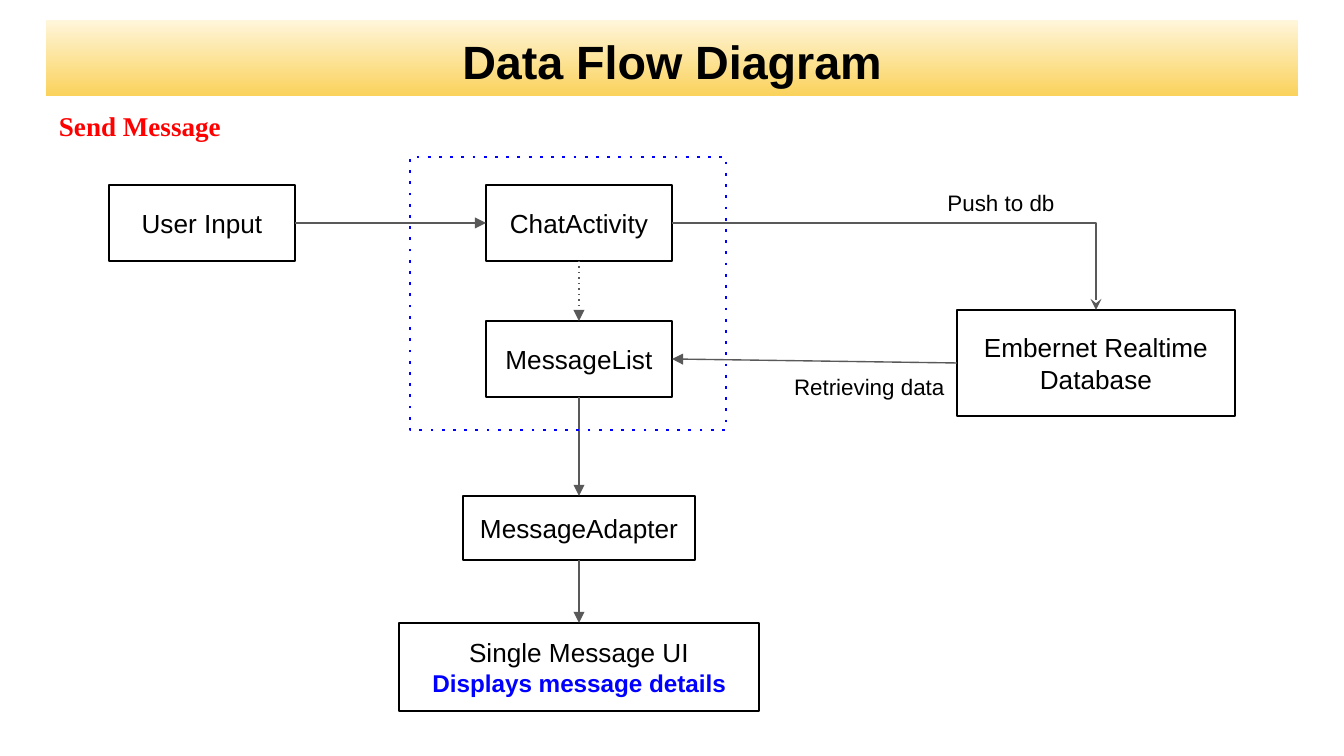
"""Build the data flow slide for sending a message."""
import dataclasses
import typing

import pptx
import pptx.dml.color
import pptx.enum.dml
import pptx.enum.shapes
import pptx.enum.text
import pptx.oxml.ns
import pptx.util
from lxml import etree

EMU_PER_PX = 914400 / 134.4
TOP, LEFT, BOTTOM, RIGHT = range(4)
ALIGN = pptx.enum.text.PP_ALIGN
ANCHOR = pptx.enum.text.MSO_ANCHOR
KIND = pptx.enum.shapes.MSO_CONNECTOR
RECTANGLE = pptx.enum.shapes.MSO_SHAPE.RECTANGLE


@dataclasses.dataclass(frozen=True)
class Theme:
    font: str = "Arial"
    heading_font: str = "Times New Roman"
    ink: str = "000000"
    accent: str = "0000FF"
    heading: str = "FF0000"
    flow: str = "595959"
    banner: tuple[str, str] = ("FFF6DB", "FAD25C")
    title_size: float = 25
    heading_size: float = 14.5
    node_size: float = 14
    detail_size: float = 13
    label_size: float = 12
    thin: float = 0.75
    thick: float = 1.5
    inset: int = 13


THEME = Theme()


class Box(typing.NamedTuple):
    left: int
    top: int
    width: int
    height: int


class Run(typing.NamedTuple):
    text: str
    size: float = THEME.node_size
    color: str = THEME.ink
    bold: bool = False
    font: str = THEME.font


class Node(typing.NamedTuple):
    box: Box
    lines: tuple[Run, ...]


class Label(typing.NamedTuple):
    box: Box
    run: Run
    align: ALIGN = ALIGN.LEFT
    anchor: ANCHOR = ANCHOR.TOP
    space_after: float = 0


class Flow(typing.NamedTuple):
    source: str
    source_side: int
    target: str
    target_side: int
    head: str = "triangle"
    bent: bool = False
    dotted: bool = False


TITLE = Label(Box(46, 20, 1252, 76),
              Run("Data Flow Diagram", THEME.title_size, bold=True), ALIGN.CENTER)

NODES = {
    "input": Node(Box(109, 185, 186, 76), (Run("User Input"),)),
    "activity": Node(Box(486, 185, 186, 76), (Run("ChatActivity"),)),
    "list": Node(Box(486, 321, 186, 76), (Run("MessageList"),)),
    "database": Node(Box(957, 310, 278, 106), (Run("Embernet Realtime Database"),)),
    "adapter": Node(Box(463, 496, 232, 64), (Run("MessageAdapter"),)),
    "ui": Node(Box(399, 623, 360, 88), (
        Run("Single Message UI"),
        Run("Displays message details", THEME.detail_size, THEME.accent, True))),
}

FLOWS = (
    Flow("adapter", BOTTOM, "ui", TOP),
    Flow("input", RIGHT, "activity", LEFT),
    Flow("activity", RIGHT, "database", TOP, head="stealth", bent=True),
    Flow("database", LEFT, "list", RIGHT),
    Flow("list", BOTTOM, "adapter", TOP),
    Flow("activity", BOTTOM, "list", TOP, dotted=True),
)

LABELS = (
    Label(Box(46, 96, 216, 60),
          Run("Send Message", THEME.heading_size, THEME.heading, True, THEME.heading_font),
          space_after=12),
    Label(Box(906, 187, 190, 32), Run("Push to db", THEME.label_size),
          ALIGN.CENTER, ANCHOR.MIDDLE),
    Label(Box(781, 360, 190, 54), Run("Retrieving data", THEME.label_size)),
)

CHAT_SCREEN = Box(410, 157, 316, 273)


def px(length: int) -> int:
    return round(length * EMU_PER_PX)


def rgb(color: str) -> pptx.dml.color.RGBColor:
    return pptx.dml.color.RGBColor.from_string(color)


def write(shape, lines: tuple[Run, ...], align: ALIGN, anchor: ANCHOR,
          space_after: float = 0) -> None:
    frame = shape.text_frame
    frame.word_wrap = True
    frame.vertical_anchor = anchor
    frame.margin_left = frame.margin_right = px(THEME.inset)
    frame.margin_top = frame.margin_bottom = px(THEME.inset)
    for index, line in enumerate(lines):
        paragraph = frame.add_paragraph() if index else frame.paragraphs[0]
        paragraph.alignment = align
        paragraph.space_after = pptx.util.Pt(space_after)
        run = paragraph.add_run()
        run.text = line.text
        run.font.name = line.font
        run.font.size = pptx.util.Pt(line.size)
        run.font.bold = line.bold
        run.font.color.rgb = rgb(line.color)


def style_line(line, color: str, width: float, dotted: bool = False, head: str = "") -> None:
    line.color.rgb = rgb(color)
    line.width = pptx.util.Pt(width)
    outline = line._get_or_add_ln()
    if dotted:
        etree.SubElement(outline, pptx.oxml.ns.qn("a:prstDash"), val="dot")
    if head:
        etree.SubElement(outline, pptx.oxml.ns.qn("a:tailEnd"), type=head)


def add_rectangle(slide, box: Box):
    rectangle = slide.shapes.add_shape(RECTANGLE, *map(px, box))
    rectangle.shadow.inherit = False
    rectangle.fill.background()
    return rectangle


def add_banner(slide, title: Label) -> None:
    banner = add_rectangle(slide, title.box)
    banner.line.fill.background()
    banner.fill.gradient()
    banner.fill.gradient_angle = 270
    for stop, color in zip(banner.fill.gradient_stops, THEME.banner):
        stop.color.rgb = rgb(color)
    write(banner, (title.run,), title.align, title.anchor)


def add_node(slide, node: Node):
    rectangle = add_rectangle(slide, node.box)
    style_line(rectangle.line, THEME.ink, THEME.thin)
    write(rectangle, node.lines, ALIGN.CENTER, ANCHOR.MIDDLE)
    return rectangle


def add_label(slide, label: Label) -> None:
    caption = slide.shapes.add_textbox(*map(px, label.box))
    write(caption, (label.run,), label.align, label.anchor, label.space_after)


def add_flow(slide, flow: Flow, nodes: dict) -> None:
    arrow = slide.shapes.add_connector(KIND.ELBOW if flow.bent else KIND.STRAIGHT, 0, 0, 0, 0)
    arrow.begin_connect(nodes[flow.source], flow.source_side)
    arrow.end_connect(nodes[flow.target], flow.target_side)
    style_line(arrow.line, THEME.flow, THEME.thin, flow.dotted, flow.head)
    properties = arrow._element.spPr
    if flow.bent:
        properties.find(pptx.oxml.ns.qn("a:prstGeom")).set("prst", "bentConnector2")
    etree.SubElement(properties, pptx.oxml.ns.qn("a:effectLst"))


def main() -> None:
    deck = pptx.Presentation()
    deck.slide_width, deck.slide_height = px(1344), px(756)
    slide = deck.slides.add_slide(deck.slide_layouts[6])
    add_banner(slide, TITLE)
    nodes = {key: add_node(slide, node) for key, node in NODES.items()}
    for flow in FLOWS:
        add_flow(slide, flow, nodes)
    for label in LABELS:
        add_label(slide, label)
    chat_screen = add_rectangle(slide, CHAT_SCREEN)
    style_line(chat_screen.line, THEME.accent, THEME.thick, dotted=True)
    deck.save("out.pptx")


if __name__ == "__main__":
    main()
